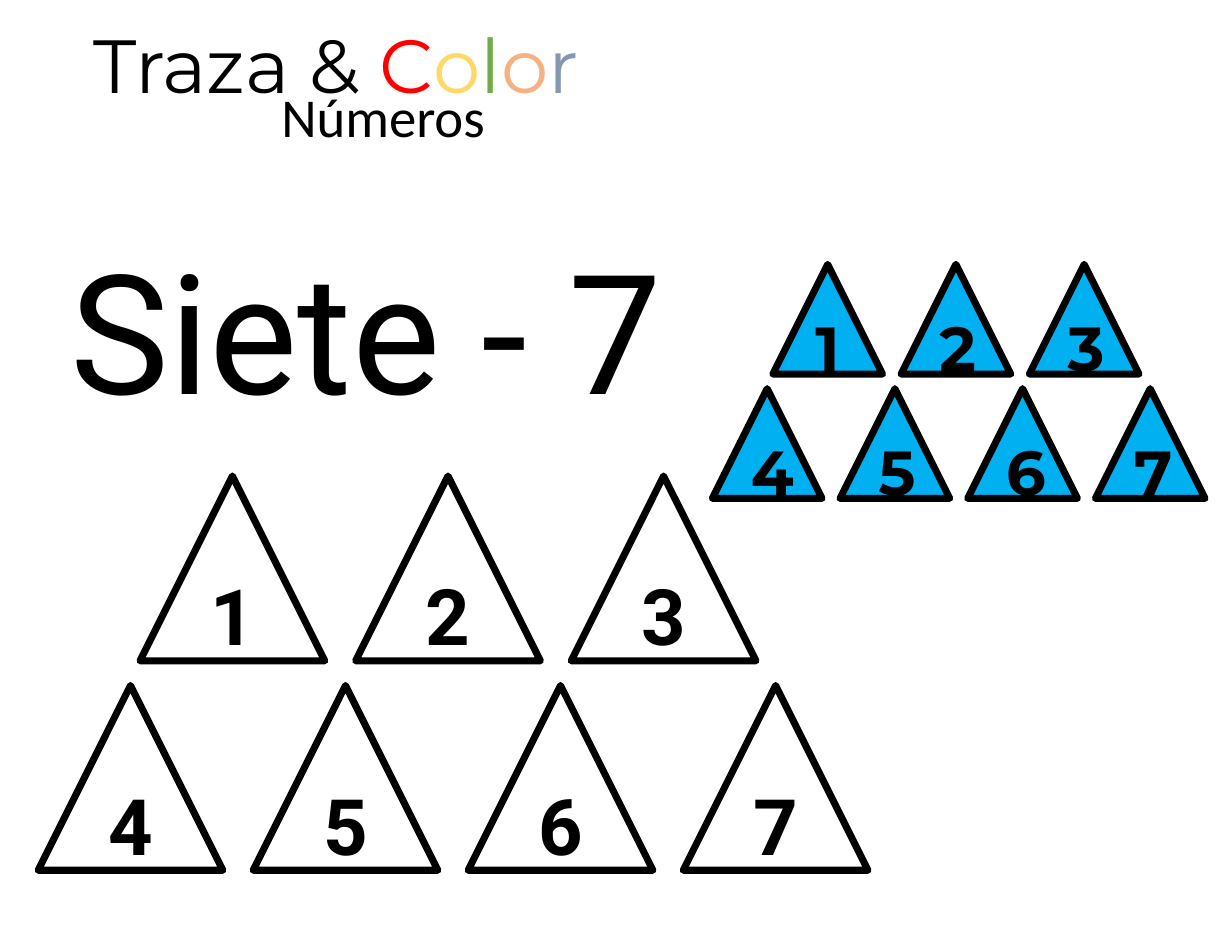
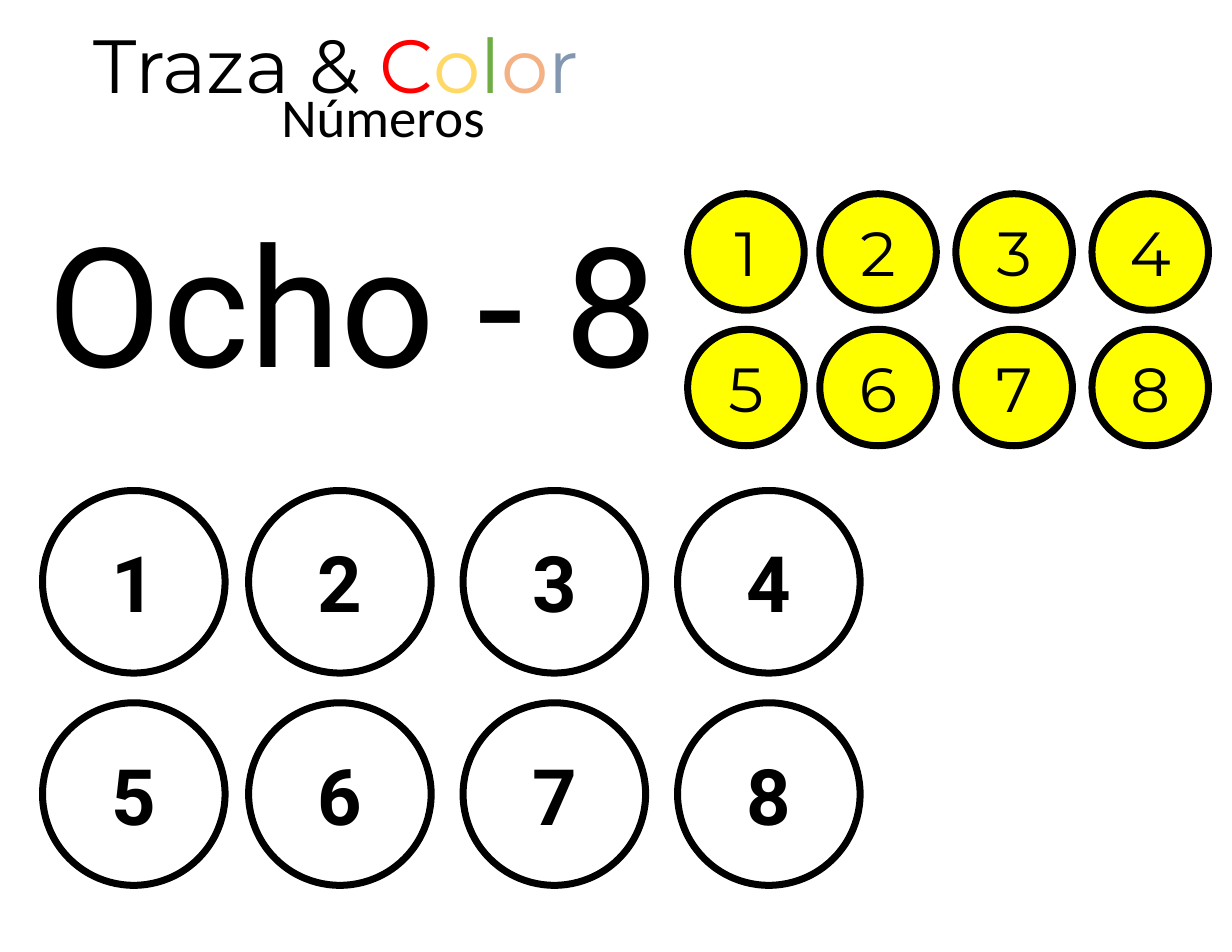
from dataclasses import dataclass

from pptx import Presentation
from pptx import util as u
from pptx.dml.color import RGBColor
from pptx.enum import shapes, text

# Grid: 110 columns by 85 rows on an 11 x 8.5 inch slide
COLS, ROWS = 110, 85
WIDTH, HEIGHT = u.Inches(11), u.Inches(8.5)

BLACK = RGBColor(0x00, 0x00, 0x00)
WHITE = RGBColor(0xFF, 0xFF, 0xFF)
BLUE = RGBColor(0x00, 0xB0, 0xF0)
YELLOW = RGBColor(0xFF, 0xFF, 0x00)
RED = RGBColor(0xFF, 0x00, 0x00)
GOLD = RGBColor(0xFF, 0xD9, 0x66)
GREEN = RGBColor(0x70, 0xAD, 0x47)
PEACH = RGBColor(0xF4, 0xB1, 0x83)
SLATE = RGBColor(0x84, 0x97, 0xB0)

OUTLINE = u.Pt(4.5)
CENTER = text.PP_ALIGN.CENTER
LEFT = text.PP_ALIGN.LEFT
TRIANGLE = shapes.MSO_SHAPE.ISOSCELES_TRIANGLE
CIRCLE = shapes.MSO_SHAPE.OVAL

# Text formats
HEADING = {"name": "Roboto", "size": u.Pt(107)}
BRAND = {"name": "Montserrat", "size": u.Pt(48.4)}
SUBTITLE = {"name": "Calibri", "size": u.Pt(35.2)}
TRACE = {"name": "Roboto", "size": u.Pt(50), "bold": True}
MODEL = {"name": "Montserrat", "size": u.Pt(40)}
MODEL_BOLD = MODEL | {"bold": True}


@dataclass(frozen=True)
class Label:
    """A text box: place in grid units and coloured pieces of text."""
    left: float
    top: float
    width: float
    height: float
    pieces: tuple
    style: dict
    align: text.PP_ALIGN = LEFT


@dataclass(frozen=True)
class Row:
    """Evenly spaced shapes; nudge moves the first one to the right."""
    left: float
    top: float
    count: int
    pitch: float
    nudge: float = 0


@dataclass(frozen=True)
class Figures:
    """Numbered shapes of one size, counted through all their rows."""
    kind: shapes.MSO_SHAPE
    side: float
    fill: RGBColor
    style: dict
    rows: tuple


@dataclass(frozen=True)
class Page:
    heading: Label
    figures: tuple


# Shared title, and the two number pages
TITLE = (
    Label(8.6, 6.9, 51.2, 6.9, (("Números", BLACK),), SUBTITLE, CENTER),
    Label(7.4, 1.1, 53.6, 9.2,
          (("Traza & ", BLACK), ("C", RED), ("o", GOLD), ("l", GREEN),
           ("o", PEACH), ("r", SLATE)), BRAND),
)

PAGES = (
    Page(Label(5.3, 19.9, 62.1, 19, (("Siete - 7", BLACK),), HEADING), (
        Figures(TRIANGLE, 16.5, WHITE, TRACE,
                (Row(12.5, 42.5, 3, 19.25), Row(3.4, 61.2, 4, 19.2))),
        Figures(TRIANGLE, 9.8, BLUE, MODEL_BOLD,
                (Row(69, 23.6, 3, 11.45), Row(63.6, 34.7, 4, 11.4))),
    )),
    Page(Label(3.3, 17.5, 57.3, 19, (("Ocho - 8", BLACK),), HEADING), (
        Figures(CIRCLE, 16.3, WHITE, TRACE,
                tuple(Row(3.05, top, 4, 19.15, 0.75) for top in (43.8, 62.75))),
        Figures(CIRCLE, 10.4, YELLOW, MODEL,
                tuple(Row(61.05, top, 4, 12.15, 0.35) for top in (17.3, 29.4))),
    )),
)


def place(left: float, top: float, width: float, height: float) -> tuple:
    """Turn grid units into slide lengths."""
    return (round(WIDTH * left / COLS), round(HEIGHT * top / ROWS),
            round(WIDTH * width / COLS), round(HEIGHT * height / ROWS))


def write(tf, pieces: tuple, style: dict, align: text.PP_ALIGN) -> None:
    tf.word_wrap = True
    p = tf.paragraphs[0]
    p.alignment = align
    for words, color in pieces:
        r = p.add_run()
        r.text = words
        r.font.color.rgb = color
        for name, value in style.items():
            setattr(r.font, name, value)


def draw_label(s, label: Label) -> None:
    box = place(label.left, label.top, label.width, label.height)
    tf = s.shapes.add_textbox(*box).text_frame
    write(tf, label.pieces, label.style, label.align)
    tf.auto_size = text.MSO_AUTO_SIZE.SHAPE_TO_FIT_TEXT


def draw_figures(s, figures: Figures) -> None:
    number = 0
    for row in figures.rows:
        for i in range(row.count):
            number += 1
            left = row.left + i * row.pitch + (row.nudge if i == 0 else 0)
            box = place(left, row.top, figures.side, figures.side)
            sp = s.shapes.add_shape(figures.kind, *box)
            sp.shadow.inherit = False
            sp.fill.solid()
            sp.fill.fore_color.rgb = figures.fill
            sp.line.color.rgb = BLACK
            sp.line.width = OUTLINE
            sp.text_frame.vertical_anchor = text.MSO_ANCHOR.MIDDLE
            write(sp.text_frame, ((str(number), BLACK),), figures.style, CENTER)


def main() -> None:
    prs = Presentation()
    prs.slide_width, prs.slide_height = WIDTH, HEIGHT
    for page in PAGES:
        s = prs.slides.add_slide(prs.slide_layouts[6])
        draw_label(s, page.heading)
        for figures in page.figures:
            draw_figures(s, figures)
        for label in TITLE:
            draw_label(s, label)
    prs.save("out.pptx")


if __name__ == "__main__":
    main()
